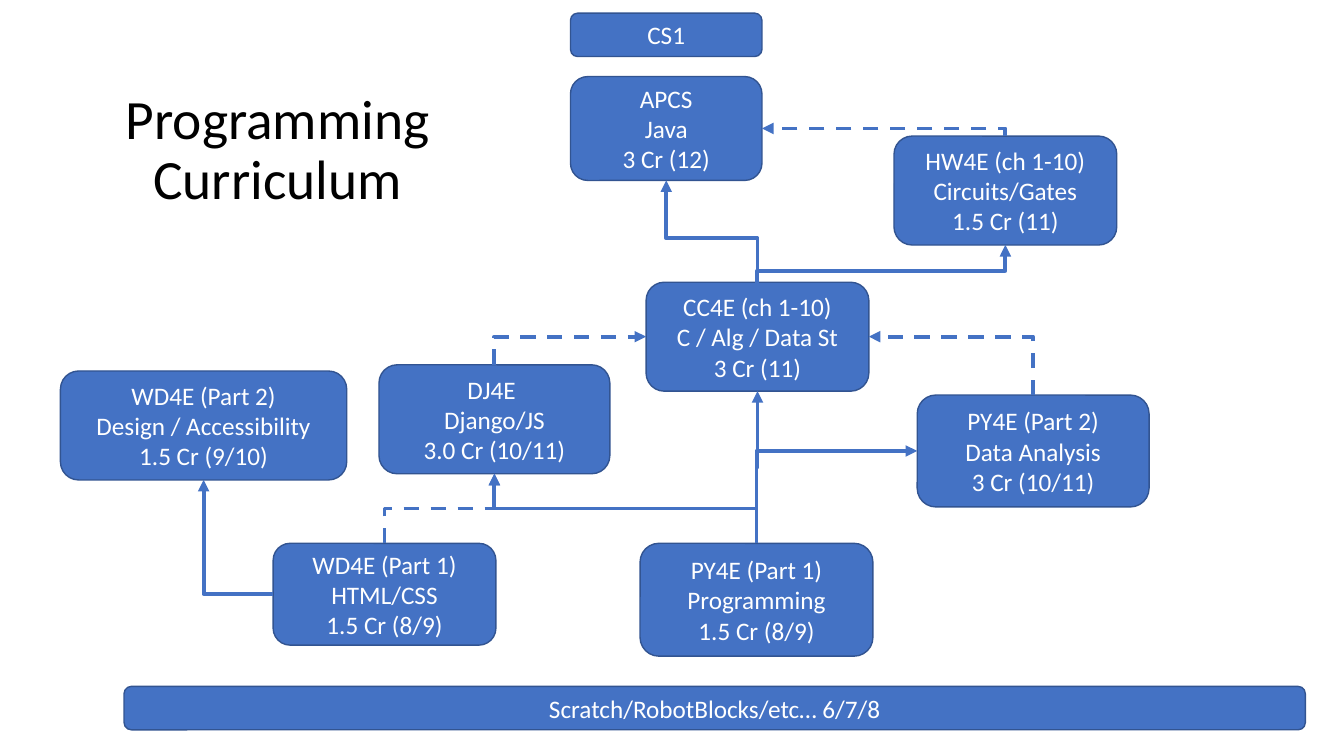
from collections import namedtuple

from lxml.etree import SubElement
from pptx import Presentation
from pptx.dml.color import RGBColor
from pptx.enum.dml import MSO_LINE as Dash
from pptx.enum.shapes import MSO_CONNECTOR as Wire, MSO_SHAPE as Form
from pptx.enum.text import MSO_ANCHOR as Anchor, PP_ALIGN as Align
from pptx.oxml.ns import qn
from pptx.util import Pt

BLUE = RGBColor(0x44, 0x72, 0xC4)
NAVY = RGBColor(0x32, 0x54, 0x91)
WHITE = RGBColor(0xFF, 0xFF, 0xFF)
BLACK = RGBColor(0, 0, 0)

Box = namedtuple("Box", "left top width height")

COURSES = {
    "APCS": (Box(407.5, 54.7, 136.8, 74.2), "APCS\nJava\n3 Cr (12)"),
    "PY1": (Box(457.2, 388.1, 166.3, 80.6), "PY4E (Part 1)\nProgramming\n1.5 Cr (8/9)"),
    "PY2": (Box(655.2, 282.2, 165.6, 79.9), "PY4E (Part 2)\nData Analysis\n3 Cr (10/11)"),
    "WD1": (Box(195.1, 388.1, 159.1, 72.7), "WD4E (Part 1)\nHTML/CSS\n1.5 Cr (8/9)"),
    "WD2": (Box(43.2, 265, 204.5, 77.8), "WD4E (Part 2)\nDesign / Accessibility\n1.5 Cr (9/10)"),
    "DJ": (Box(270.7, 260.6, 164.9, 77.8), "DJ4E \nDjango/JS\n3.0 Cr (10/11)"),
    "CC": (Box(461.5, 201.6, 159.1, 77.8), "CC4E (ch 1-10)\nC / Alg / Data St\n3 Cr (11)"),
    "HW": (Box(638.6, 97.2, 159.1, 77.8), "HW4E (ch 1-10)\nCircuits/Gates\n1.5 Cr (11)"),
    "CS1": (Box(407.5, 9.4, 136.8, 31), "CS1"),
    "Base": (Box(88.6, 490.3, 843.8, 31), "Scratch/RobotBlocks/etc… 6/7/8"),
}

# from, side left, to, side reached, dashed, overlap with the first box
LINKS = [
    ("HW", "top", "APCS", "right", True, 0),
    ("CC", "top", "APCS", "bottom", False, 10),
    ("CC", "top", "HW", "bottom", False, 10),
    ("WD1", "top", "DJ", "bottom", True, 0),
    ("PY1", "top", "DJ", "bottom", False, 0),
    ("PY1", "top", "CC", "bottom", False, 0),
    ("PY1", "top", "PY2", "left", False, 0),
    ("PY2", "top", "CC", "right", True, 0),
    ("WD1", "left", "WD2", "bottom", False, 0),
    ("DJ", "top", "CC", "left", True, 0),
]


def port(box, side):
    """Return the midpoint of one side of a box."""
    mid_x = box.left + box.width / 2
    mid_y = box.top + box.height / 2
    return {
        "top": (mid_x, box.top),
        "bottom": (mid_x, box.top + box.height),
        "left": (box.left, mid_y),
        "right": (box.left + box.width, mid_y),
    }[side]


class Chart:
    font = "Calibri"

    def __init__(self, slide):
        self.shapes = slide.shapes

    def label(self, shape, text, size, color, pitch=1.0):
        frame = shape.text_frame
        frame.word_wrap = True
        frame.vertical_anchor = Anchor.MIDDLE
        frame.text = text
        for para in frame.paragraphs:
            para.alignment = Align.CENTER
            para.line_spacing = pitch
            for run in para.runs:
                run.font.name = self.font
                run.font.size = Pt(size)
                run.font.color.rgb = color

    def title(self, box, text):
        shape = self.shapes.add_textbox(*map(Pt, box))
        self.label(shape, text, 39.6, BLACK, 0.9)

    def course(self, box, text):
        shape = self.shapes.add_shape(Form.ROUNDED_RECTANGLE, *map(Pt, box))
        shape.shadow.inherit = False
        shape.fill.solid()
        shape.fill.fore_color.rgb = BLUE
        shape.line.color.rgb = NAVY
        shape.line.width = Pt(1)
        self.label(shape, text, 18, WHITE)

    def link(self, start, end, rise, bends, dashed):
        """Draw an elbow arrow that leaves upward (rise) or to the left."""
        (x1, y1), (x2, y2) = start, end
        wide, high = abs(x2 - x1), abs(y2 - y1)
        if rise:
            wide, high = high, wide
        left = (x1 + x2 - wide) / 2
        top = (y1 + y2 - high) / 2
        wire = self.shapes.add_connector(
            Wire.ELBOW, Pt(left), Pt(top), Pt(left + wide), Pt(top + high))
        wire.line.color.rgb = BLUE
        wire.line.width = Pt(2.75)
        if dashed:
            wire.line.dash_style = Dash.DASH
        props = wire._element.spPr
        if not rise:
            turn, flips = 180, ()
        elif x2 > x1:
            turn, flips = 90, ("flipH", "flipV")
        else:
            turn, flips = 270, ("flipV",)
        frame = props.find(qn("a:xfrm"))
        frame.set("rot", str(turn * 60000))
        for flip in flips:
            frame.set(flip, "1")
        props.find(qn("a:prstGeom")).set("prst", f"bentConnector{bends + 1}")
        SubElement(props.find(qn("a:ln")), qn("a:tailEnd"), type="triangle")
        SubElement(props, qn("a:effectLst"))


def main():
    deck = Presentation()
    deck.slide_width, deck.slide_height = Pt(960), Pt(540)
    chart = Chart(deck.slides.add_slide(deck.slide_layouts[6]))
    chart.title(Box(43.2, 59, 310.3, 98.6), "Programming\vCurriculum")
    for box, text in COURSES.values():
        chart.course(box, text)
    for first, side, last, goal, dashed, lap in LINKS:
        x, y = port(COURSES[first][0], side)
        end = port(COURSES[last][0], goal)
        rise = side == "top"
        bends = 2 if rise and goal == "bottom" else 1
        chart.link((x, y + lap), end, rise, bends, dashed)
    deck.save("out.pptx")


if __name__ == "__main__":
    main()
